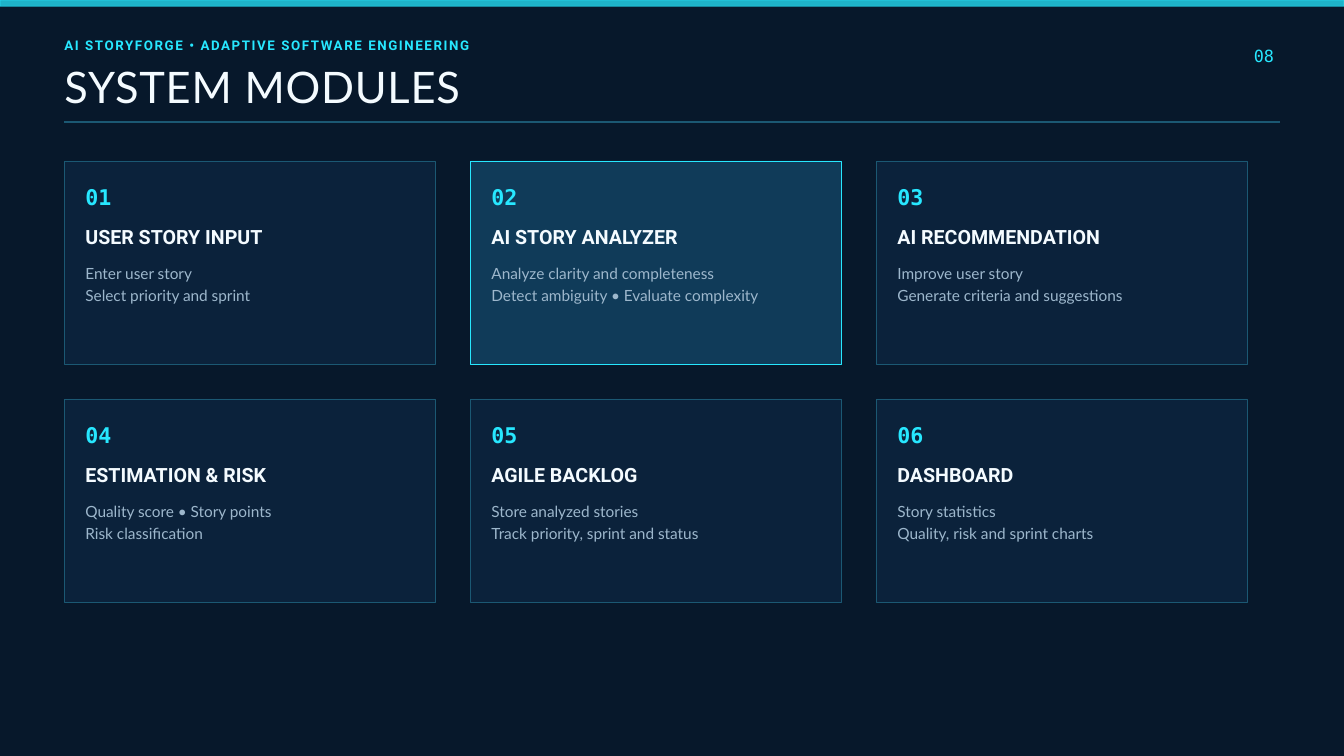
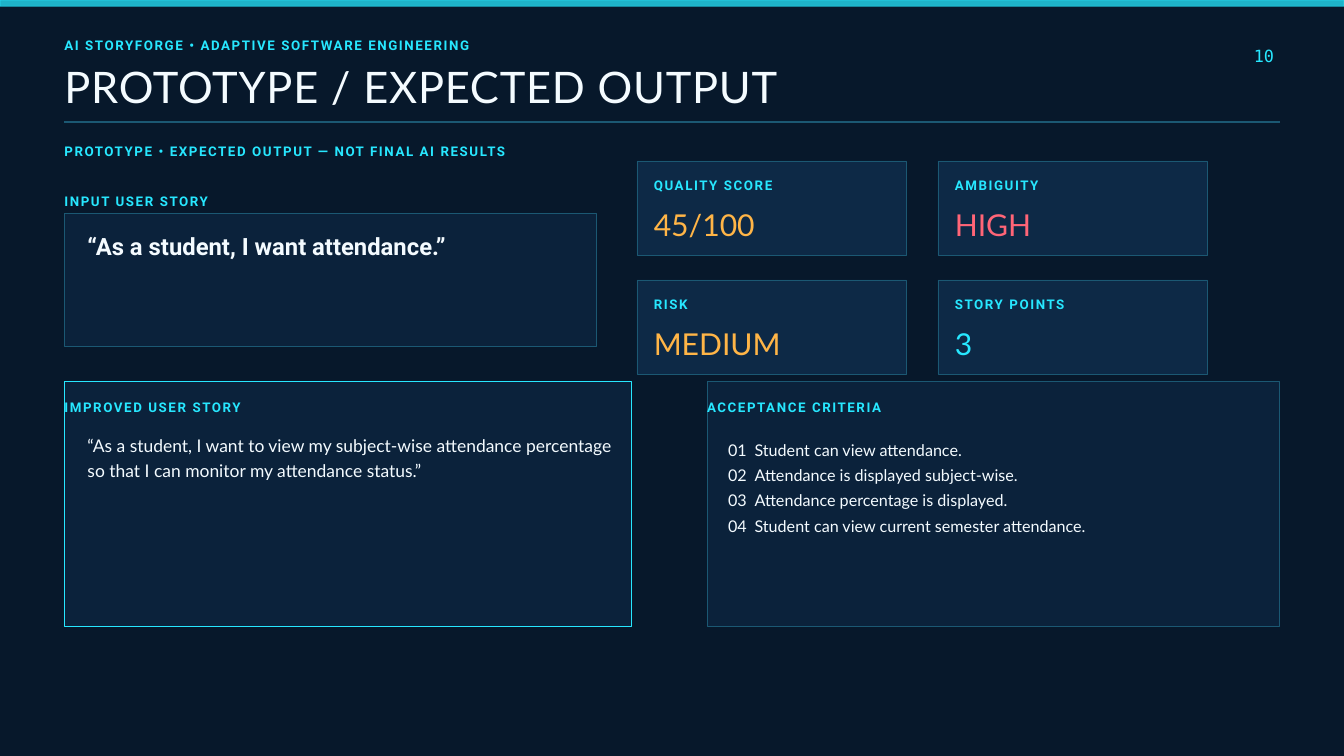
import lxml.etree
import pptx
import pptx.dml.color
import pptx.enum.shapes
import pptx.enum.text
import pptx.oxml.ns
import pptx.util

RGB = pptx.dml.color.RGBColor
NAVY = RGB(0x07, 0x18, 0x2B)
PANEL = RGB(0x0B, 0x22, 0x3B)
TILE = RGB(0x0D, 0x29, 0x46)
GLOW = RGB(0x10, 0x3B, 0x59)
EDGE = RGB(0x1B, 0x58, 0x73)
CYAN = RGB(0x27, 0xE7, 0xFF)
WHITE = RGB(0xF4, 0xFB, 0xFF)
MIST = RGB(0x9D, 0xB7, 0xCC)
AMBER = RGB(0xFF, 0xB5, 0x47)
CORAL = RGB(0xFF, 0x65, 0x77)

# The slide is a grid of 1920 columns by 1080 rows
WIDE = pptx.util.Inches(20)
HIGH = pptx.util.Inches(11.25)
UNIT = WIDE // 1920
LEFT, RIGHT = 92, 1828

# Text styles: font values, line pitch in points, letter spacing in points
SANS, HEAD, MONO = "Lato", "Roboto", "DejaVu Sans Mono"
STYLES = {
    "label": (dict(name=HEAD, size=14.25, bold=True), CYAN, 19.9, 1.7),
    "title": (dict(name=SANS, size=46.5, bold=False), WHITE, 46.5, 0.9),
    "page": (dict(name=MONO, size=18), CYAN, 25.2, 0),
    "count": (dict(name=MONO, size=23.25, bold=True), CYAN, 32.5, 0),
    "name": (dict(name=HEAD, size=21, bold=True), WHITE, 29.4, 0),
    "note": (dict(name=SANS, size=16.5), MIST, 23.9, 0),
    "quote": (dict(name=HEAD, size=25.5, bold=True), WHITE, 31.9, 0),
    "value": (dict(name=SANS, size=32.25), CYAN, 45.1, 0),
    "story": (dict(name=SANS, size=18.75), WHITE, 26.2, 0),
    "list": (dict(name=SANS, size=17.25), WHITE, 27.2, 0),
}


def box(slide, spot, fill, edge):
    """Draw a filled rectangle with a thin edge."""
    shape = slide.shapes.add_shape(
        pptx.enum.shapes.MSO_SHAPE.RECTANGLE, *[n * UNIT for n in spot])
    shape.shadow.inherit = False
    shape.fill.solid()
    shape.fill.fore_color.rgb = fill
    shape.line.color.rgb = edge
    shape.line.width = pptx.util.Pt(0.75)
    return shape


def write(slide, spot, lines, style, tint=None, hold=None, side="LEFT", hang=0):
    """Write lines in a new text box, or in the placeholder given as hold."""
    shape = hold or slide.shapes.add_textbox(0, 0, 0, 0)
    for key, n in zip(("left", "top", "width", "height"), spot):
        setattr(shape, key, n * UNIT)
    frame = shape.text_frame
    form = dict(margin_left=0, margin_top=0, margin_right=0, margin_bottom=0,
                word_wrap=True, vertical_anchor=pptx.enum.text.MSO_ANCHOR.TOP,
                auto_size=pptx.enum.text.MSO_AUTO_SIZE.SHAPE_TO_FIT_TEXT)
    for key, value in form.items():
        setattr(frame, key, value)
    font, ink, pitch, gap = STYLES[style]
    for i, line in enumerate(lines):
        para = frame.add_paragraph() if i else frame.paragraphs[0]
        if hang:
            props = para._p.get_or_add_pPr()
            props.set("marL", str(hang * UNIT))
            props.set("indent", str(-hang * UNIT))
            lxml.etree.SubElement(props, pptx.oxml.ns.qn("a:buNone"))
        para.alignment = getattr(pptx.enum.text.PP_ALIGN, side)
        para.line_spacing = pptx.util.Pt(pitch)
        para.space_before = pptx.util.Pt(0)
        run = para.add_run()
        run.text = line
        for key, value in font.items():
            setattr(run.font, key, pptx.util.Pt(value) if key == "size" else value)
        run.font.color.rgb = tint or ink
        if gap:
            run._r.get_or_add_rPr().set("spc", str(round(gap * 100)))


deck = pptx.Presentation()
deck.slide_width, deck.slide_height = WIDE, HIGH
ground = deck.slide_master.background.fill
ground.solid()
ground.fore_color.rgb = NAVY

# Shared frame: top bar, header, title, page number, rule
slides = []
for title, page, layout in (("SYSTEM MODULES", "08", 5),
                            ("PROTOTYPE / EXPECTED OUTPUT", "10", 1)):
    slide = deck.slides.add_slide(deck.slide_layouts[layout])
    slides.append(slide)
    bar = box(slide, (0, 0, 1920, 9), CYAN, CYAN)
    for color in bar.element.spPr.iter(pptx.oxml.ns.qn("a:srgbClr")):
        lxml.etree.SubElement(color, pptx.oxml.ns.qn("a:alpha"), val="75000")
    write(slide, (LEFT, 50, 1000, 24),
          ["AI STORYFORGE • ADAPTIVE SOFTWARE ENGINEERING"], "label")
    write(slide, (LEFT, 98, 1500, 67), [title], "title", hold=slide.shapes.title)
    write(slide, (1690, 60, 130, 32), [page], "page", side="RIGHT")
    rule = slide.shapes.add_connector(
        pptx.enum.shapes.MSO_CONNECTOR.STRAIGHT,
        LEFT * UNIT, 174 * UNIT, RIGHT * UNIT, 174 * UNIT)
    rule.line.color.rgb = EDGE
    rule.line.width = pptx.util.Pt(2)
    lxml.etree.SubElement(rule.element.spPr, pptx.oxml.ns.qn("a:effectLst"))
first, second = slides

# System modules: three columns by two rows of cards
CARDS = [
    ("USER STORY INPUT", "Enter user story", "Select priority and sprint"),
    ("AI STORY ANALYZER", "Analyze clarity and completeness",
     "Detect ambiguity • Evaluate complexity"),
    ("AI RECOMMENDATION", "Improve user story", "Generate criteria and suggestions"),
    ("ESTIMATION & RISK", "Quality score • Story points", "Risk classification"),
    ("AGILE BACKLOG", "Store analyzed stories", "Track priority, sprint and status"),
    ("DASHBOARD", "Story statistics", "Quality, risk and sprint charts"),
]
for i, (name, *notes) in enumerate(CARDS):
    x, y = LEFT + i % 3 * 580, 230 + i // 3 * 340
    fill, edge = (GLOW, CYAN) if i == 1 else (PANEL, EDGE)
    box(first, (x, y, 530, 290), fill, edge)
    write(first, (x + 30, y + 26, 90, 40), [f"{i + 1:02}"], "count")
    write(first, (x + 30, y + 85, 465, 37), [name], "name")
    write(first, (x + 30, y + 142, 465, 60), notes, "note")

# Input story
write(second, (LEFT, 201, 900, 24),
      ["PROTOTYPE • EXPECTED OUTPUT — NOT FINAL AI RESULTS"], "label")
box(second, (LEFT, 305, 760, 190), PANEL, EDGE)
write(second, (LEFT, 273, 500, 24), ["INPUT USER STORY"], "label")
write(second, (125, 329, 690, 41), ["“As a student, I want attendance.”"], "quote")

# Scores: two columns by two rows of tiles
SCORES = [("QUALITY SCORE", "45/100", AMBER), ("AMBIGUITY", "HIGH", CORAL),
          ("RISK", "MEDIUM", AMBER), ("STORY POINTS", "3", CYAN)]
for i, (name, value, tint) in enumerate(SCORES):
    x, y = 910 + i % 2 * 430, 230 + i // 2 * 170
    box(second, (x, y, 385, 135), TILE, EDGE)
    write(second, (x + 24, y + 20, 335, 24), [name], "label")
    write(second, (x + 24, y + 56, 335, 57), [value], "value", tint)

# Improved story and its criteria
for x, wide, edge, name in ((LEFT, 810, CYAN, "IMPROVED USER STORY"),
                            (1010, 818, EDGE, "ACCEPTANCE CRITERIA")):
    box(second, (x, 545, wide, 350), PANEL, edge)
    write(second, (x, 567, 700, 24), [name], "label")
write(second, (125, 617, 760, 67),
      ["“As a student, I want to view my subject-wise attendance percentage "
       "so that I can monitor my attendance status.”"], "story")
RULES = ["Student can view attendance.", "Attendance is displayed subject-wise.",
         "Attendance percentage is displayed.",
         "Student can view current semester attendance."]
body = second.placeholders[1]
body.element.getparent().append(body.element)  # in front of its panel
write(second, (1040, 620, 700, 140),
      [f"{i:02}\t{line}" for i, line in enumerate(RULES, 1)],
      "list", hold=body, hang=38)

deck.save("out.pptx")
